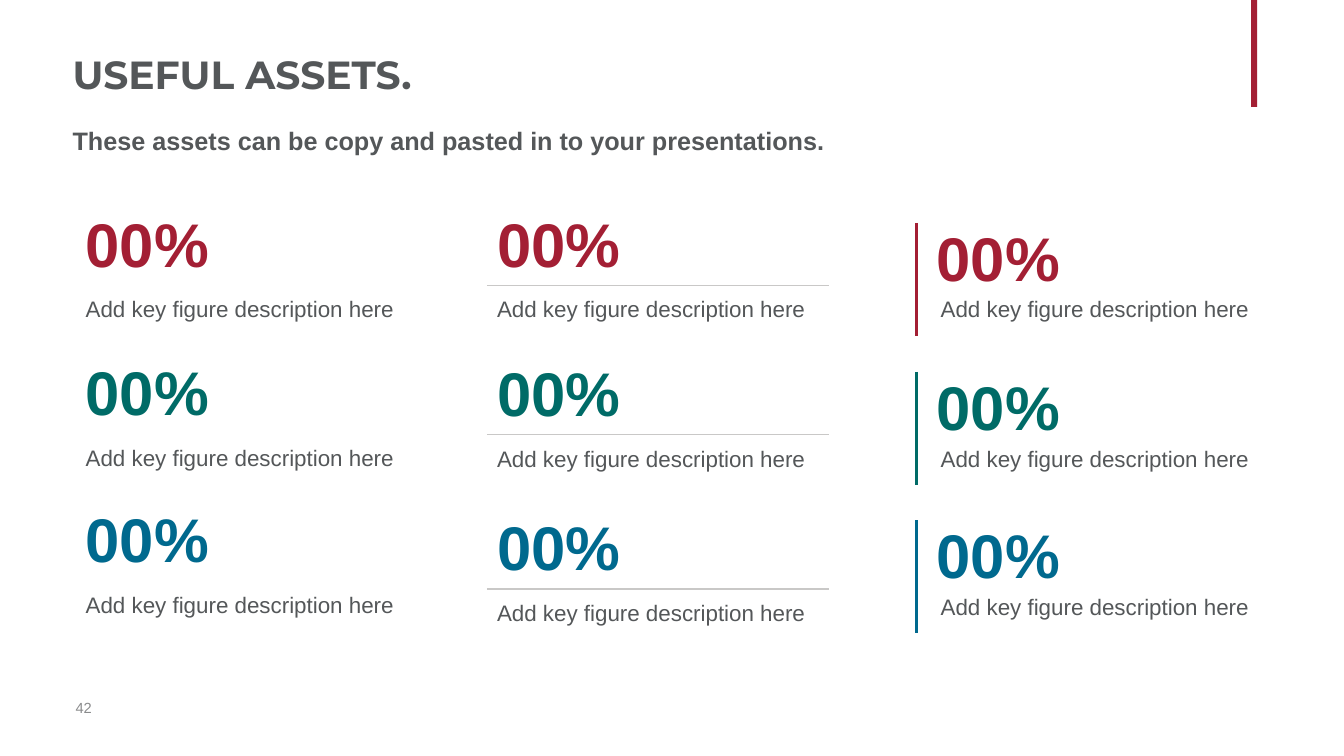
"""Build the key figure assets slide."""
from dataclasses import dataclass

import lxml.etree
import pptx
import pptx.dml.color
import pptx.enum.shapes
import pptx.enum.text
import pptx.oxml.ns
import pptx.util

Inches = pptx.util.Inches
Pt = pptx.util.Pt
qn = pptx.oxml.ns.qn
ANCHOR = pptx.enum.text.MSO_ANCHOR

RED, TEAL, BLUE = "A31F34", "006B67", "00698E"
SLATE, GREY, RULE = "545759", "8A8B8C", "C9C8C7"
PLAIN_TABLE = "{2D5ABB26-0587-4C30-8999-92F81FD0307C}"


@dataclass(frozen=True)
class Label:
    text: str
    box: tuple[float, float, float, float]
    font: dict
    color: str
    anchor: ANCHOR
    insets: tuple[float, float, float, float]


@dataclass(frozen=True)
class Line:
    text: str
    height: float
    font: dict
    color: str | None
    anchor: ANCHOR
    insets: tuple[float, float, float, float]
    border: str | None = None


@dataclass(frozen=True)
class FigureColumn:
    left: float
    tops: tuple[float, float, float]
    width: float
    height: float
    lines: tuple[Line, Line]
    border_color: str | None = None
    border_width: float = 0


def font_format(size: float, bold: bool = False, name: str = "Arial") -> dict:
    """Return font attributes."""
    return {"name": name, "size": Pt(size), "bold": bold}


def paint(color_format, color: str) -> None:
    """Apply a hex colour to a font or fill colour."""
    color_format.rgb = pptx.dml.color.RGBColor.from_string(color)


def apply(target, values: dict) -> None:
    """Set each attribute named in the format values."""
    for key, value in values.items():
        setattr(target, key, value)


def margins(insets: tuple[float, float, float, float]) -> dict:
    """Return left, top, right and bottom margin attributes."""
    sides = ("margin_left", "margin_top", "margin_right", "margin_bottom")
    return {side: Inches(inset) for side, inset in zip(sides, insets)}


def write(frame, text: str, font: dict, color: str) -> None:
    """Write one formatted run into a text frame."""
    run = frame.paragraphs[0].add_run()
    run.text = text
    apply(run.font, font)
    paint(run.font.color, color)


def add_label(slide, label: Label) -> None:
    """Add a text box."""
    frame = slide.shapes.add_textbox(*map(Inches, label.box)).text_frame
    apply(frame, {"word_wrap": True, "vertical_anchor": label.anchor,
                  **margins(label.insets)})
    write(frame, label.text, label.font, label.color)


def add_border(cell, side: str, color: str, width: float) -> None:
    """Draw one side of a table cell."""
    border = lxml.etree.Element(qn(f"a:{side}"), w=str(Pt(width)))
    fill = lxml.etree.SubElement(border, qn("a:solidFill"))
    lxml.etree.SubElement(fill, qn("a:srgbClr"), val=color)
    cell._tc.get_or_add_tcPr().insert(0, border)


def add_key_figure(slide, column: FigureColumn, top: float, accent: str) -> None:
    """Add a figure with its description as a two-row table."""
    box = map(Inches, (column.left, top, column.width, column.height))
    graphic = slide.shapes.add_table(2, 1, *box)
    table = graphic.table
    apply(table, {"first_row": False, "horz_banding": False})
    table._tbl.tblPr.find(qn("a:tableStyleId")).text = PLAIN_TABLE
    for row, line in zip(table.rows, column.lines):
        row.height = Inches(line.height)
        cell = row.cells[0]
        cell.fill.background()
        apply(cell, {"vertical_anchor": line.anchor, **margins(line.insets)})
        write(cell.text_frame, line.text, line.font, line.color or accent)
        if line.border:
            add_border(cell, line.border, column.border_color or accent,
                       column.border_width)
    graphic.height = Inches(column.height)


def figure_lines(heights: tuple[float, float], anchors: tuple, insets: tuple,
                 borders: tuple = (None, None)) -> tuple[Line, Line]:
    """Return the figure and description lines of a column."""
    contents = (("00%", font_format(44, True), None),
                ("Add key figure description here", font_format(16), SLATE))
    return tuple(
        Line(text, height, font, color, anchor, inset, border)
        for (text, font, color), height, anchor, inset, border
        in zip(contents, heights, anchors, insets, borders))


STACKED = ((0.67, 0.67), (ANCHOR.BOTTOM, ANCHOR.TOP),
           ((0.1, 0.05, 0.1, 0.05), (0.1, 0.12, 0.1, 0.05)))
BARRED = ((0.49, 0.33), (ANCHOR.MIDDLE, ANCHOR.MIDDLE),
          ((0.2, 0, 0.1, 0), (0.24, 0, 0.1, 0.12)))

COLUMNS = (
    FigureColumn(0.75, (2, 3.47, 4.93), 3.61, 1.51, figure_lines(*STACKED)),
    FigureColumn(4.83, (2, 3.48, 5.01), 3.39, 1.51,
                 figure_lines(*STACKED, ("lnB", "lnT")), RULE, 1),
    FigureColumn(9.09, (2.21, 3.69, 5.16), 3.51, 1.12,
                 figure_lines(*BARRED, ("lnL", "lnL")), None, 3),
)

LABELS = (
    Label("USEFUL ASSETS.", (0.72, 0.33, 8.81, 1.24),
          font_format(28, True, "Montserrat"), SLATE, ANCHOR.TOP,
          (0, 0.17, 0.1, 0.05)),
    Label("42", (0.75, 6.82, 0.27, 0.4), font_format(10.5), GREY,
          ANCHOR.MIDDLE, (0, 0.05, 0, 0.05)),
    Label("These assets can be copy and pasted in to your presentations.",
          (0.72, 1.19, 8.28, 0.4), font_format(18, True), SLATE, ANCHOR.TOP,
          (0, 0.05, 0.1, 0.05)),
)


def main() -> None:
    """Build and save the slide."""
    deck = pptx.Presentation()
    apply(deck, {"slide_width": Inches(13.33), "slide_height": Inches(7.5)})
    slide = deck.slides.add_slide(deck.slide_layouts[6])

    corner_mark = slide.shapes.add_shape(
        pptx.enum.shapes.MSO_SHAPE.RECTANGLE,
        *map(Inches, (12.41, 0, 0.06, 1.06)))
    corner_mark.shadow.inherit = False
    corner_mark.fill.solid()
    paint(corner_mark.fill.fore_color, RED)
    corner_mark.line.fill.background()

    for label in LABELS:
        add_label(slide, label)
    for column in COLUMNS:
        for top, accent in zip(column.tops, (RED, TEAL, BLUE)):
            add_key_figure(slide, column, top, accent)
    deck.save("out.pptx")


if __name__ == "__main__":
    main()
